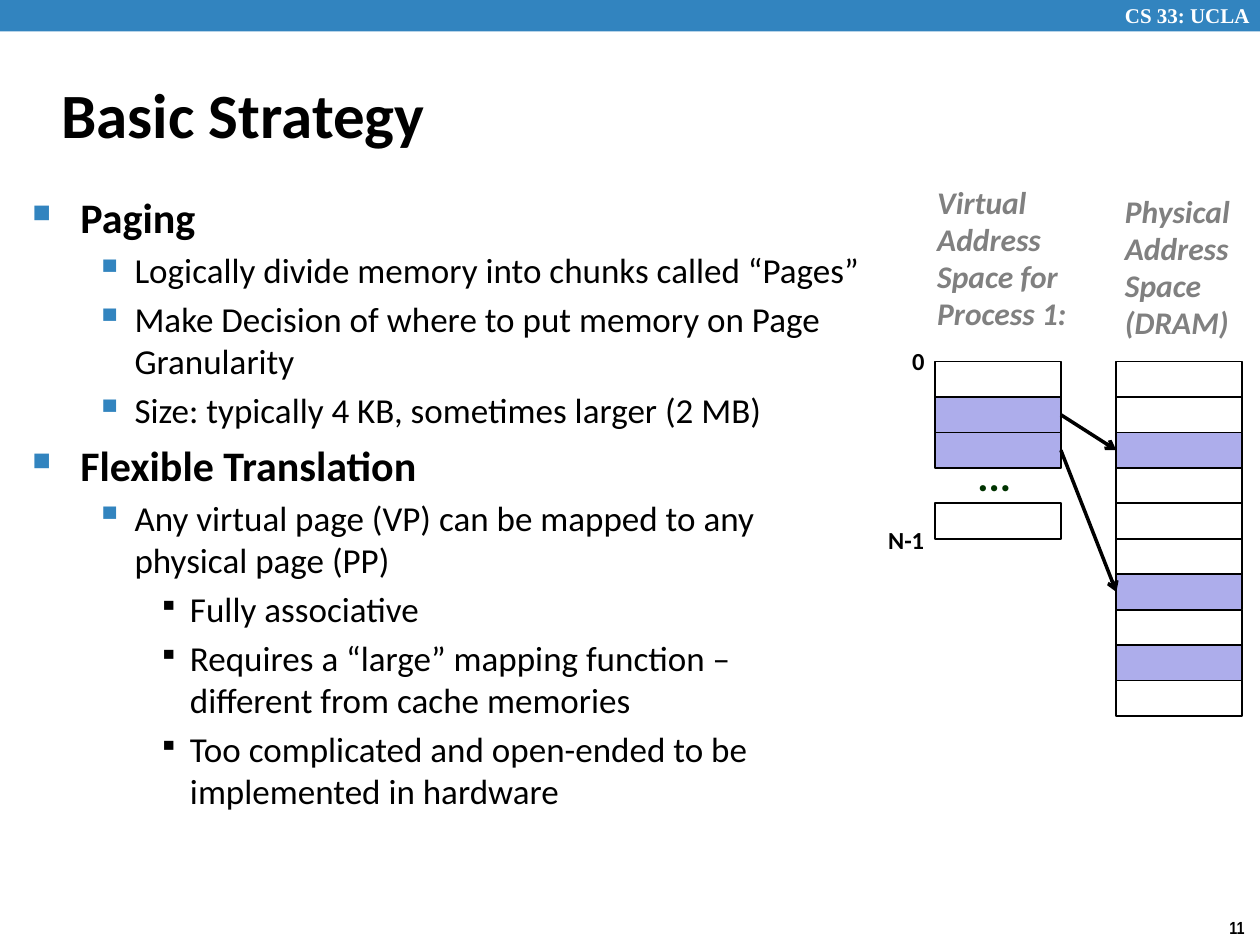
"""Build the slide on the basic strategy of paging."""
from lxml.etree import SubElement as Sub
from pptx import Presentation
from pptx.dml.color import RGBColor as Color
from pptx.enum.shapes import MSO_CONNECTOR as Link, MSO_SHAPE as Form
from pptx.enum.text import MSO_ANCHOR as Anchor, MSO_AUTO_SIZE as Auto
from pptx.oxml.ns import qn
from pptx.util import Inches, Pt

THEME = dict(
    blue="3284BF", page="ADADEB", ink="000000", gray="808080", green="003300", white="FFFFFF",
    font="Calibri", serif="Times New Roman", narrow="Arial Narrow",
    title=36, head=24, body=20, label=18, mark=14, top=12, foot=10, thin=1, thick=2,
)
WIDE, HIGH = Inches(10), Inches(7.5)

POINTS = [
    (0, "Paging"),
    (1, "Logically divide memory into chunks called “Pages”"),
    (1, "Make Decision of where to put memory on Page Granularity"),
    (1, "Size: typically 4 KB, sometimes larger (2 MB)"),
    (0, "Flexible Translation"),
    (1, "Any virtual page (VP) can be mapped to any physical page (PP)"),
    (2, "Fully associative"),
    (2, "Requires a “large” mapping function – different from cache memories"),
    (2, "Too complicated and open-ended to be implemented in hardware"),
]
LEVELS = [
    dict(left=0.38, hang=0.38, sign="■", scale=60, tint="blue", size="head", bold=True),
    dict(left=0.81, hang=0.31, sign="▪", scale=110, tint="blue", size="body", bold=False),
    dict(left=1.25, hang=0.25, sign="▪", scale=80, tint="ink", size="body", bold=False),
]
GRAY = dict(size="label", tint="gray", slant=True, lead=0.98)
MARK = dict(size="mark", lead=0.98, wrap=False)
TEXTS = [
    (["CS 33: UCLA"], (88.3, -0.4, 12.4, 4), dict(size="top", tint="white", font="serif")),
    (["11"], (96.6, 96.4, 3.4, 3.6), dict(size="foot", font="narrow", wrap=False)),
    (["Basic Strategy"], (3.9, 6.4, 83, 11.07), dict(size="title", anchor=Anchor.MIDDLE)),
    (["Physical", "Address", "Space (DRAM)"], (88.3, 19.87, 11.7, 17.2), GRAY),
    (["Virtual Address Space for Process 1:"], (73.4, 18.93, 15, 17.07), GRAY),
    (["0"], (71.4, 36.13, 3.1, 4.4), MARK),
    (["N-1"], (69.5, 55.07, 4.9, 4.4), MARK),
    (["..."], (76.6, 47.6, 4.7, 6), dict(size="head", tint="green", lead=0.88, wrap=False)),
]
BODY = (1.6, 19.6, 67.7, 72.53)
TOP, ROW, COL = 38.27, 3.75, 10
VIRTUAL = dict(left=74.2, rows=[0, 1, 2, 4], used=[1, 2])
PHYSICAL = dict(left=88.6, rows=range(10), used=[2, 6, 8])
MAPS = [(1, 2), (2, 6)]

deck = Presentation()
deck.slide_width, deck.slide_height = WIDE, HIGH
slide = deck.slides.add_slide(deck.slide_layouts[6])
shapes = slide.shapes


def hue(name):
    return Color.from_string(THEME[name])


def place(box):
    return [round(part * side / 100) for part, side in zip(box, (WIDE, HIGH) * 2)]


def write(para, text, size="body", tint="ink", font="font", bold=True, slant=False, lead=None):
    run = para.add_run()
    run.text = text
    face = run.font
    face.size, face.name = Pt(THEME[size]), THEME[font]
    face.bold, face.italic = bold, slant
    face.color.rgb = hue(tint)
    if lead:
        para.line_spacing = lead


def frame(box, wrap=True, anchor=Anchor.TOP):
    area = shapes.add_textbox(*place(box)).text_frame
    area.word_wrap, area.vertical_anchor = wrap, anchor
    area.auto_size = Auto.NONE
    return area


def paras(area, items):
    for num, item in enumerate(items):
        yield area.add_paragraph() if num else area.paragraphs[0], item


def bullet(para, left, hang, sign, scale, tint):
    props = para._p.get_or_add_pPr()
    props.set("marL", str(Inches(left)))
    props.set("indent", str(-Inches(hang)))
    Sub(Sub(props, qn("a:buClr")), qn("a:srgbClr"), val=THEME[tint])
    Sub(props, qn("a:buSzPct"), val=str(scale * 1000))
    Sub(props, qn("a:buChar"), char=sign)


def block(box, fill=None, line=None):
    rect = shapes.add_shape(Form.RECTANGLE, *place(box))
    rect.shadow.inherit = False
    if fill:
        rect.fill.solid()
        rect.fill.fore_color.rgb = hue(fill)
    else:
        rect.fill.background()
    if line:
        rect.line.color.rgb = hue(line)
        rect.line.width = Pt(THEME["thin"])
    else:
        rect.line.fill.background()
    return rect


def stack(left, rows, used):
    return {row: block((left, TOP + row * ROW, COL, ROW),
                       "page" if row in used else None, "ink") for row in rows}


def arrow(start, end):
    link = shapes.add_connector(Link.STRAIGHT, 0, 0, 0, 0)
    link.begin_connect(start, 3)
    link.end_connect(end, 1)
    link.line.color.rgb = hue("ink")
    link.line.width = Pt(THEME["thick"])
    Sub(link.line._get_or_add_ln(), qn("a:tailEnd"), type="arrow")
    Sub(link._element.spPr, qn("a:effectLst"))


block((0, 0, 100, 3.33), "blue")

for lines, box, look in TEXTS:
    hold = {key: val for key, val in look.items() if key in ("wrap", "anchor")}
    style = {key: val for key, val in look.items() if key not in hold}
    for para, line in paras(frame(box, **hold), lines):
        write(para, line, **style)

for para, (level, line) in paras(frame(BODY), POINTS):
    rule = LEVELS[level]
    para.level = level
    bullet(para, *(rule[key] for key in ("left", "hang", "sign", "scale", "tint")))
    if (level, line) != POINTS[0]:
        para.space_before = Pt(THEME[rule["size"]] * 0.2)
    write(para, line, size=rule["size"], bold=rule["bold"])

real = stack(**PHYSICAL)
pages = stack(**VIRTUAL)
for page, spot in MAPS:
    arrow(pages[page], real[spot])

deck.save("out.pptx")
